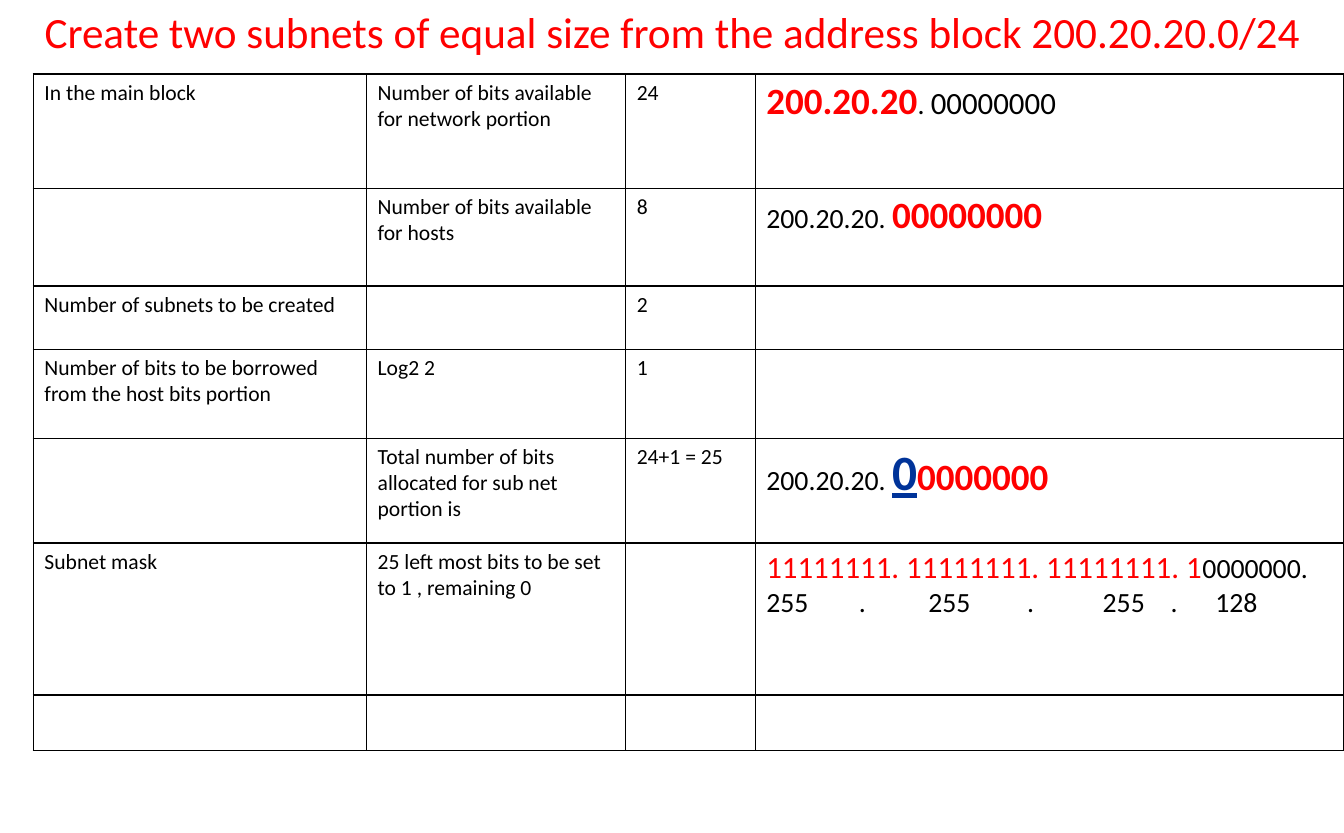
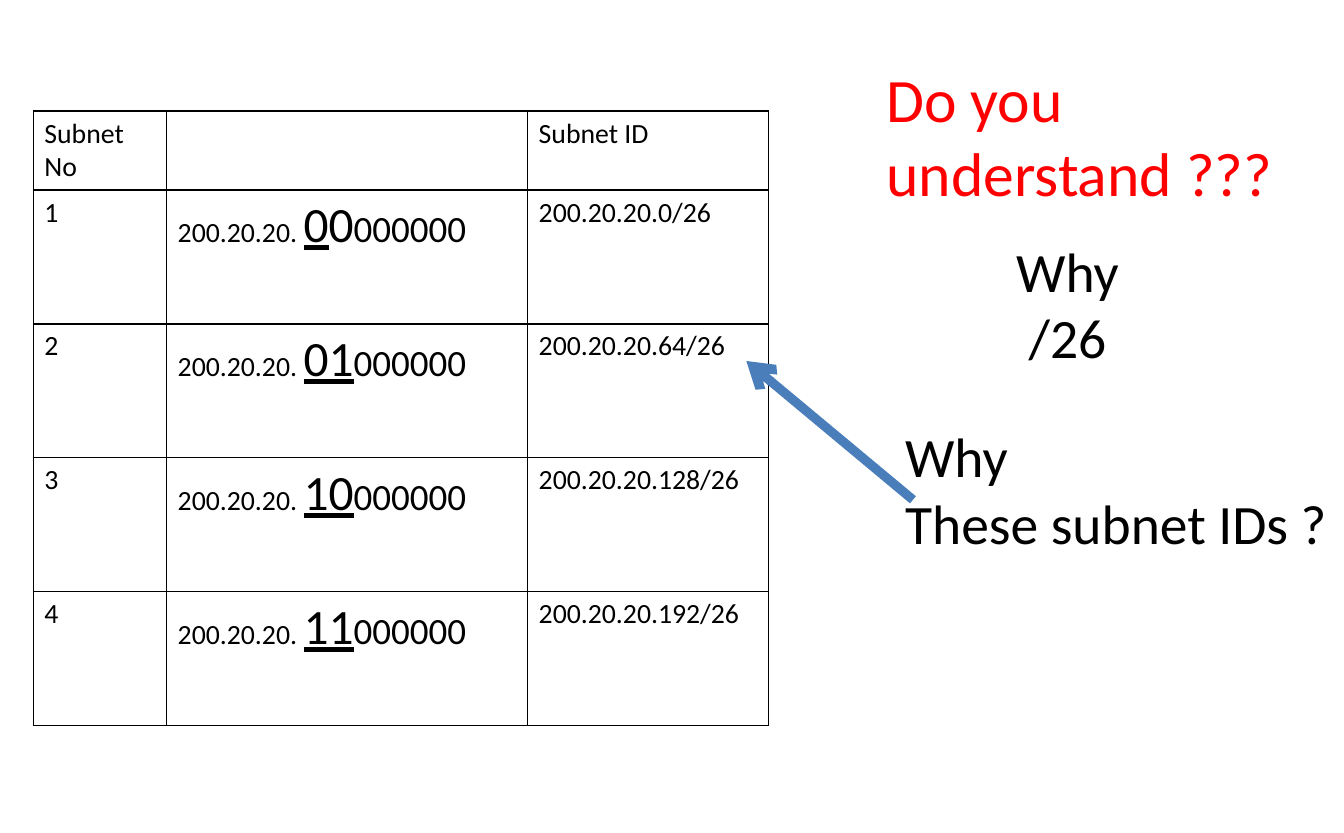
from pptx import Presentation
from pptx.dml.color import RGBColor
from pptx.enum.shapes import MSO_CONNECTOR
from pptx.enum.text import MSO_ANCHOR, MSO_AUTO_SIZE, PP_ALIGN
from pptx.oxml import parse_xml
from pptx.oxml.ns import nsdecls
from pptx.util import Pt

RED = RGBColor(0xFF, 0x00, 0x00)
NAVY = RGBColor(0x00, 0x33, 0x99)
BLUE = RGBColor(0x4A, 0x7E, 0xBB)
BLACK = RGBColor(0x00, 0x00, 0x00)
LEFT, CENTER = PP_ALIGN.LEFT, PP_ALIGN.CENTER
TOP, FIXED = MSO_ANCHOR.TOP, MSO_AUTO_SIZE.NONE
LINE = MSO_CONNECTOR.STRAIGHT
FACE = "Calibri"
NS = nsdecls("a")

# Text formats: font values and colour
STYLES = {
    "small": ({"size": Pt(14)}, BLACK),
    "plain": ({"size": Pt(18)}, BLACK),
    "bits": ({"size": Pt(20)}, BLACK),
    "ones": ({"size": Pt(20)}, RED),
    "host": ({"size": Pt(24)}, BLACK),
    "bold": ({"size": Pt(24), "bold": True}, RED),
    "loan": ({"size": Pt(32), "bold": True, "underline": True}, NAVY),
    "big": ({"size": Pt(32)}, BLACK),
    "under": ({"size": Pt(32), "underline": True}, BLACK),
    "ask": ({"size": Pt(36)}, BLACK),
    "head": ({"size": Pt(28)}, RED),
    "quiz": ({"size": Pt(40)}, RED),
}


def write(frame, lines):
    """Fill a text frame; each line is a list of (text, style) runs."""
    for i, line in enumerate(lines):
        para = frame.add_paragraph() if i else frame.paragraphs[0]
        for text, style in line:
            run = para.add_run()
            run.text = text
            values, colour = STYLES[style]
            for name, value in {"name": FACE, **values}.items():
                setattr(run.font, name, value)
            run.font.color.rgb = colour


def grid(slide, x, y, widths, heights, rows, style):
    """Add a ruled table; a plain string cell takes the given style."""
    table = slide.shapes.add_table(len(heights), len(widths), Pt(x), Pt(y),
                                   Pt(sum(widths)), Pt(sum(heights))).table
    for col, width in zip(table.columns, widths):
        col.width = Pt(width)
    for row, height, items in zip(table.rows, heights, rows):
        row.height = Pt(height)
        for cell, item in zip(row.cells, items):
            props = cell._tc.get_or_add_tcPr()
            for side in "LRTB":
                props.append(parse_xml(
                    f'<a:ln{side} {NS} w="12700"><a:solidFill>'
                    f'<a:srgbClr val="{BLACK}"/></a:solidFill></a:ln{side}>'))
            cell.fill.background()
            if item:
                write(cell.text_frame,
                      [[(item, style)]] if isinstance(item, str) else item)
    return table


deck = Presentation()
deck.slide_width, deck.slide_height = Pt(871.2), Pt(540)

# Slides with their titles
titles = [
    ("Create two subnets of equal size from the address block 200.20.20.0/24",
     "head", CENTER, (0, 0, 871.2, 108)),
    ("Do you understand ???", "quiz", LEFT, (567.4, 36, 270, 151.2)),
]
slides = []
for text, style, align, place in titles:
    slide = deck.slides.add_slide(deck.slide_layouts[5])
    title = slide.shapes.title
    title.left, title.top, title.width, title.height = map(Pt, place)
    frame = title.text_frame
    frame.auto_size, frame.word_wrap = FIXED, True
    frame.vertical_anchor = TOP
    write(frame, [[(text, style)]])
    frame.paragraphs[0].alignment = align
    slides.append(slide)
plan, quiz = slides

# Subnet plan table
NET = "200.20.20. "
rows = [
    ["In the main block", "Number of bits available for network portion", "24",
     [[("200.20.20", "bold"), (". ", "plain"), ("00000000", "bits")]]],
    ["", "Number of bits available for hosts", "8",
     [[(NET, "plain"), ("00000000", "bold")]]],
    ["Number of subnets to be created", "", "2", ""],
    ["Number of bits to be borrowed from the host bits portion",
     "Log2 2", "1", ""],
    ["", "Total number of bits allocated for sub net portion is", "24+1 = 25",
     [[(NET, "plain"), ("0", "loan"), ("0000000", "bold")]]],
    ["Subnet mask", "25 left most bits to be set to 1 , remaining 0", "",
     [[("11111111. 11111111. 11111111. 1", "ones"), ("0000000.", "plain")],
      [("255\t.\t255\t.\t255\t.\t128", "plain")]]],
    [""] * 4,
]
table = grid(plan, 21.6, 48, [216, 168, 84, 381.6],
             [74, 63.5, 41, 57.6, 68, 98.5, 36], rows, "small")

# Tab stops line up the decimal mask
mask = table.cell(5, 3).text_frame.paragraphs[1]
stops = "".join(f'<a:tab pos="{Pt(pos)}" algn="l"/>'
                for pos in (60, 105, 169, 218, 262, 291))
mask._p.get_or_add_pPr().append(
    parse_xml(f"<a:tabLst {NS}>{stops}</a:tabLst>"))

# Subnet ID table
rows = [["Subnet No", "", "Subnet ID"]]
for i in range(4):
    pair = f"{i:02b}"
    lead = [("0", "under"), ("0", "big")] if i == 0 else [(pair, "under")]
    rows.append([str(i + 1),
                 [[(NET, "plain"), *lead, ("000000", "host")]],
                 f"200.20.20.{i * 64}/26"])
grid(quiz, 21.6, 72, [86.4, 234, 156.2], [51] + [86.8] * 4, rows, "plain")

# Questions
for x, y, height, lines in [
    (651.6, 149.8, 136.8, ["Why", " /26"]),
    (579.6, 270, 180, ["Why", "These subnet IDs ?"]),
]:
    box = quiz.shapes.add_textbox(Pt(x), Pt(y), Pt(342), Pt(height))
    box.text_frame.word_wrap = True
    write(box.text_frame, [[(line, "ask")] for line in lines])

# Arrow to the subnet IDs
arrow = quiz.shapes.add_connector(LINE, Pt(591.8), Pt(324), Pt(483.8), Pt(234))
arrow.line.color.rgb = BLUE
arrow.line.width = Pt(6)
arrow.line._get_or_add_ln().append(
    parse_xml(f'<a:tailEnd {NS} type="arrow"/>'))
arrow._element.spPr.append(parse_xml(f"<a:effectLst {NS}/>"))

deck.save("out.pptx")
